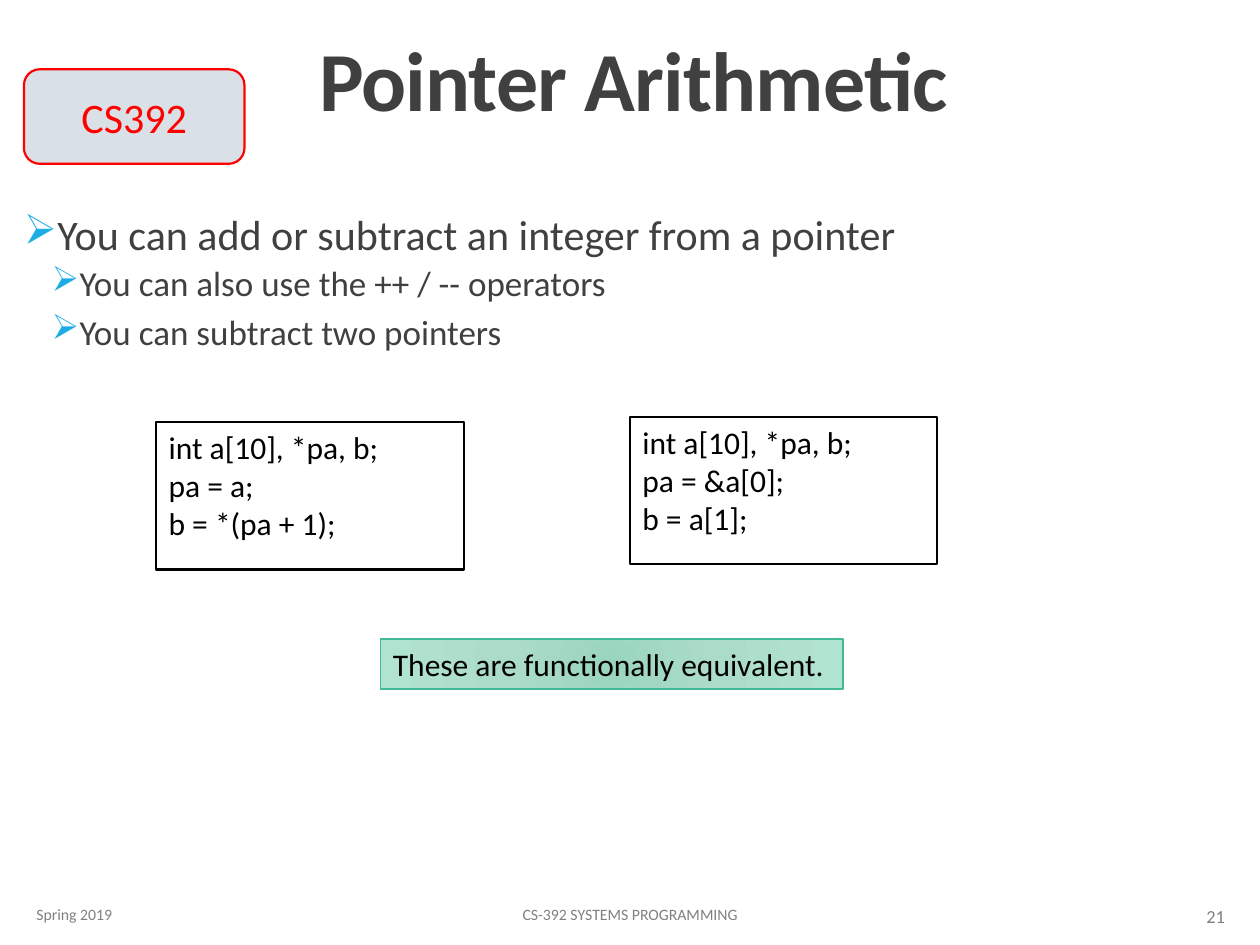
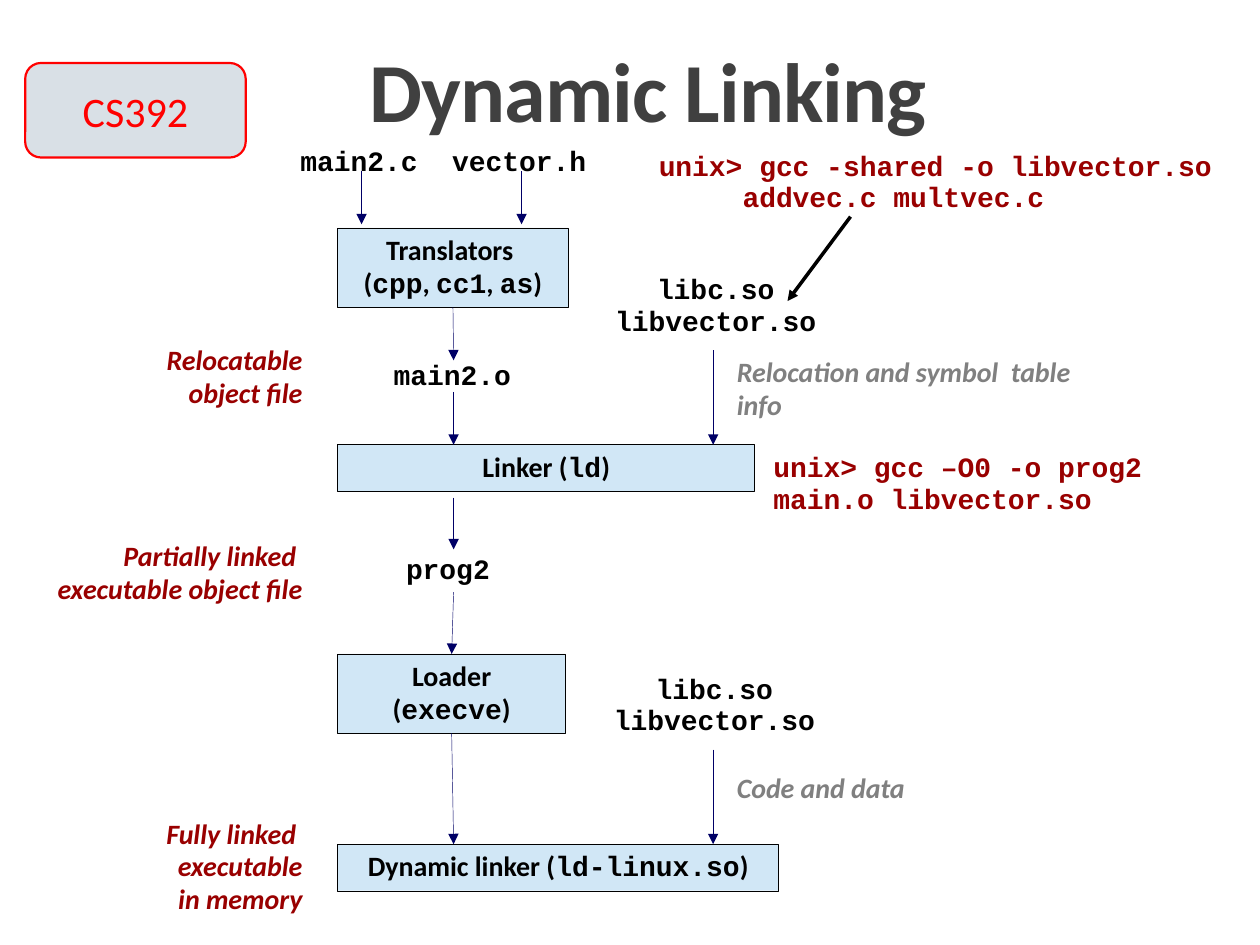
from dataclasses import dataclass
from itertools import cycle

from lxml.etree import SubElement
from pptx import Presentation
from pptx.dml.color import RGBColor
from pptx.enum.shapes import MSO_CONNECTOR as Connector, MSO_SHAPE as Preset
from pptx.enum.text import MSO_ANCHOR as Anchor, MSO_AUTO_SIZE as AutoSize, PP_ALIGN as Align
from pptx.oxml.ns import qn
from pptx.util import Inches, Pt


@dataclass(frozen=True)
class Theme:
    sans: str = "Calibri"
    mono: str = "Courier New"
    ink: str = "000000"
    paper: str = "FFFFFF"
    heading: str = "404040"
    muted: str = "808080"
    bullet: str = "1CADE4"
    badge_fill: str = "D9E0E6"
    badge_ink: str = "FF0000"
    stage_fill: str = "D1E7F6"
    arrow: str = "000066"
    accent: str = "990000"
    verdict_line: str = "42BA97"
    verdict_stops: tuple = ((0, "9BD5BE"), (45, "ABDCC9"), (100, "B1E4D0"))
    title_size: float = 48
    badge_size: float = 24
    code_size: float = 18
    diagram_size: float = 16
    number_size: float = 10.5
    footer_size: float = 9
    bullet_sizes: tuple = (24, 20)


THEME = Theme()
BADGE = "CS392"

POINTER_TITLE = "Pointer Arithmetic"
POINTER_BULLETS = [
    (0, "You can add or subtract an integer from a pointer"),
    (1, "You can also use the ++ / -- operators"),
    (1, "You can subtract two pointers"),
]
BULLET_INDENTS = [(0.1, -0.1), (0.42, -0.2)]
BULLET_SPACING = [(12, 2), (2, 4)]
CODE_BOXES = [
    (1.24, 3.35, ["int a[10], *pa, b;", "pa = a;", "b = *(pa + 1);"]),
    (5, 3.31, ["int a[10], *pa, b;", "pa = &a[0];", "b = a[1];"]),
]
VERDICT = "These are functionally equivalent."
FOOTERS = [
    ("Spring 2019", (0.19, 7.06, 2.03, 0.4), Align.LEFT, THEME.footer_size),
    ("CS-392 SYSTEMS PROGRAMMING", (3.02, 7.06, 3.96, 0.4), Align.CENTER, THEME.footer_size),
    ("21", (8.74, 7.07, 1.08, 0.4), Align.RIGHT, THEME.number_size),
]

LINKING_TITLE = "Dynamic Linking"
STAGE_LEFT = 2.68
STAGES = {
    "translators": (1.81, 1.83, 0.63, ["Translators ", "(`cpp`, `cc1`, `as`)"]),
    "linker": (3.53, 3.31, 0.37, ["Linker (`ld`)"]),
    "loader": (5.19, 1.81, 0.63, ["Loader (`execve`)"]),
    "dynamic linker": (6.7, 3.5, 0.37, ["Dynamic linker (`ld-linux.so`)"]),
}
LIBRARIES = ["libc.so", "libvector.so"]
FILES = [
    ((2.28, 1.11, 1.14, 0.36), ["main2.c"]),
    ((3.48, 1.11, 1.28, 0.36), ["vector.h"]),
    ((3.02, 2.81, 1.14, 0.36), ["main2.o"]),
    ((3.12, 4.35, 0.87, 0.36), ["prog2"]),
    ((4.77, 2.13, 1.82, 0.61), LIBRARIES),
    ((4.76, 5.3, 1.82, 0.61), LIBRARIES),
]
COMMANDS = [
    ((5.13, 1.15, 4.92, 0.61), ["unix> gcc -shared -o libvector.so", "     addvec.c multvec.c"]),
    ((6.04, 3.54, 3.17, 0.61), ["unix> gcc –O0 -o prog2", "main.o libvector.so"]),
]
RESULT_RIGHT = 2.5
RESULTS = [
    (2.68, 1.5, 0.63, ["Relocatable", "object file"]),
    (4.24, 2.75, 0.63, ["Partially linked ", "executable object file"]),
    (6.44, 1.92, 0.89, ["Fully linked ", "executable", "in memory"]),
]
LIBRARY_NOTES = [
    ((5.75, 2.78, 2.85, 0.63), ["Relocation and symbol  table info"]),
    ((5.75, 6.08, 1.94, 0.37), ["Code and data"]),
]
FLOW_ARROWS = [
    (2.87, 1.36, 1.78, {}),
    (4.14, 1.36, 1.78, {}),
    (3.6, 2.44, 2.86, {"begin": "translators"}),
    (3.6, 3.11, 3.53, {}),
    (3.6, 3.95, 4.36, {}),
    (3.6, 4.7, 5.19, {"end": "loader"}),
    (3.6, 5.82, 6.7, {"begin": "loader"}),
    (5.66, 2.78, 3.53, {}),
    (5.66, 5.95, 6.7, {}),
]
COMMAND_ARROW = (6.75, 1.72, 6.25, 2.39)


def rgb(colour):
    return RGBColor.from_string(colour)


def add_text(page, lines, area, *, size, colour=THEME.ink, font=THEME.sans, bold=False,
             italic=False, align=Align.LEFT, anchor=Anchor.TOP, spacing=None, tracking=None,
             preset=None, fill=None, line=None, weight=1.25, wrap=True, side_inset=0.1):
    area = [Inches(length) for length in area]
    if preset is None:
        box = page.shapes.add_textbox(*area)
    else:
        box = page.shapes.add_shape(preset, *area)
        box.shadow.inherit = False
        box.line.color.rgb = rgb(line)
        box.line.width = Pt(weight)
        if fill:
            box.fill.solid()
            box.fill.fore_color.rgb = rgb(fill)
    frame = box.text_frame
    frame.word_wrap = wrap
    frame.auto_size = AutoSize.NONE if wrap else AutoSize.SHAPE_TO_FIT_TEXT
    frame.vertical_anchor = anchor
    frame.margin_left = frame.margin_right = Inches(side_inset)
    for index, text in enumerate(lines):
        para = frame.add_paragraph() if index else frame.paragraphs[0]
        para.alignment = align
        para.line_spacing = spacing
        for piece, face in zip(text.split("`"), cycle((font, THEME.mono))):
            span = para.add_run()
            span.text = piece
            span.font.name = face
            span.font.size = Pt(size)
            span.font.bold = bold
            span.font.italic = italic
            span.font.color.rgb = rgb(colour)
            if tracking:
                span.font._element.set("spc", str(int(tracking * 100)))
    return box


def add_heading(page, title, title_area, badge_corner):
    add_text(page, [title], title_area, size=THEME.title_size, colour=THEME.heading, bold=True,
             align=Align.CENTER, anchor=Anchor.BOTTOM, spacing=0.85, tracking=-0.5)
    add_text(page, [BADGE], (*badge_corner, 1.75, 0.75), size=THEME.badge_size,
             colour=THEME.badge_ink, align=Align.CENTER, anchor=Anchor.MIDDLE,
             preset=Preset.ROUNDED_RECTANGLE, fill=THEME.badge_fill, line=THEME.badge_ink)


def add_bullets(page, items, area):
    box = add_text(page, [text for _, text in items], area, size=THEME.bullet_sizes[0],
                   colour=THEME.heading, spacing=0.9, side_inset=0)
    for index, (para, (level, _)) in enumerate(zip(box.text_frame.paragraphs, items)):
        before, after = BULLET_SPACING[level]
        para.level = level
        if index:
            para.space_before = Pt(before)
        para.space_after = Pt(after)
        margin, indent = BULLET_INDENTS[level]
        properties = para._p.get_or_add_pPr()
        properties.set("marL", str(Inches(margin)))
        properties.set("indent", str(Inches(indent)))
        tint = SubElement(properties, qn("a:buClr"))
        SubElement(tint, qn("a:srgbClr"), val=THEME.bullet)
        SubElement(properties, qn("a:buChar"), char="➢")
        para.runs[0].font.size = Pt(THEME.bullet_sizes[level])


def fill_radial(box, stops):
    box.fill.gradient()
    gradient = box._element.spPr.find(qn("a:gradFill"))
    for child in list(gradient):
        gradient.remove(child)
    stop_list = SubElement(gradient, qn("a:gsLst"))
    for position, colour in stops:
        stop = SubElement(stop_list, qn("a:gs"), pos=str(position * 1000))
        SubElement(stop, qn("a:srgbClr"), val=colour)
    circle = SubElement(gradient, qn("a:path"), path="circle")
    SubElement(circle, qn("a:fillToRect"), {side: "100000" for side in "ltrb"})


def add_arrow(page, points, colour, weight, begin=None, end=None):
    arrow = page.shapes.add_connector(Connector.STRAIGHT, *[Inches(value) for value in points])
    if begin is not None:
        arrow.begin_connect(begin, 2)
    if end is not None:
        arrow.end_connect(end, 0)
    arrow.line.color.rgb = rgb(colour)
    arrow.line.width = Pt(weight)
    SubElement(arrow.line._get_or_add_ln(), qn("a:tailEnd"), type="triangle")
    SubElement(arrow._element.spPr, qn("a:effectLst"))


def build_pointer_page(page):
    add_heading(page, POINTER_TITLE, (0.9, 0.04, 8.25, 1.03), (0.19, 0.55))
    add_bullets(page, POINTER_BULLETS, (0.19, 1.65, 9.62, 1.69))
    for text, area, align, size in FOOTERS:
        add_text(page, [text], area, size=size, colour=THEME.muted, align=align,
                 anchor=Anchor.MIDDLE)
    for left, top, code in CODE_BOXES:
        add_text(page, code, (left, top, 2.44, 1.17), size=THEME.code_size,
                 preset=Preset.RECTANGLE, fill=THEME.paper, line=THEME.ink)
    verdict = add_text(page, [VERDICT], (3.02, 5.07, 3.67, 0.4), size=THEME.code_size,
                       preset=Preset.RECTANGLE, line=THEME.verdict_line, weight=1, wrap=False)
    fill_radial(verdict, THEME.verdict_stops)


def build_linking_page(page):
    add_heading(page, LINKING_TITLE, (0.38, 0.31, 9.53, 0.85), (0.2, 0.5))
    label = {"size": THEME.diagram_size, "bold": True}
    prose = {**label, "spacing": 0.98}
    code = {**label, "spacing": 0.94, "font": THEME.mono, "wrap": False}
    boxes = {}
    for name, (top, width, height, lines) in STAGES.items():
        boxes[name] = add_text(page, lines, (STAGE_LEFT, top, width, height), **prose,
                               align=Align.CENTER, preset=Preset.RECTANGLE,
                               fill=THEME.stage_fill, line=THEME.ink, weight=0.25)
    for area, lines in FILES:
        add_text(page, lines, area, **code, align=Align.CENTER)
    for area, lines in COMMANDS:
        add_text(page, lines, area, **code, colour=THEME.accent)
    for top, width, height, lines in RESULTS:
        add_text(page, lines, (RESULT_RIGHT - width, top, width, height), **prose,
                 colour=THEME.accent, italic=True, align=Align.RIGHT)
    for area, lines in LIBRARY_NOTES:
        add_text(page, lines, area, **prose, colour=THEME.muted, italic=True)
    for x, top, bottom, joins in FLOW_ARROWS:
        ends = {side: boxes[name] for side, name in joins.items()}
        add_arrow(page, (x, top, x, bottom), THEME.arrow, 0.25, **ends)
    add_arrow(page, COMMAND_ARROW, THEME.ink, 2)


def main():
    deck = Presentation()
    deck.slide_width, deck.slide_height = Inches(10), Inches(7.5)
    for build in (build_pointer_page, build_linking_page):
        build(deck.slides.add_slide(deck.slide_layouts[6]))
    deck.save("out.pptx")


if __name__ == "__main__":
    main()
